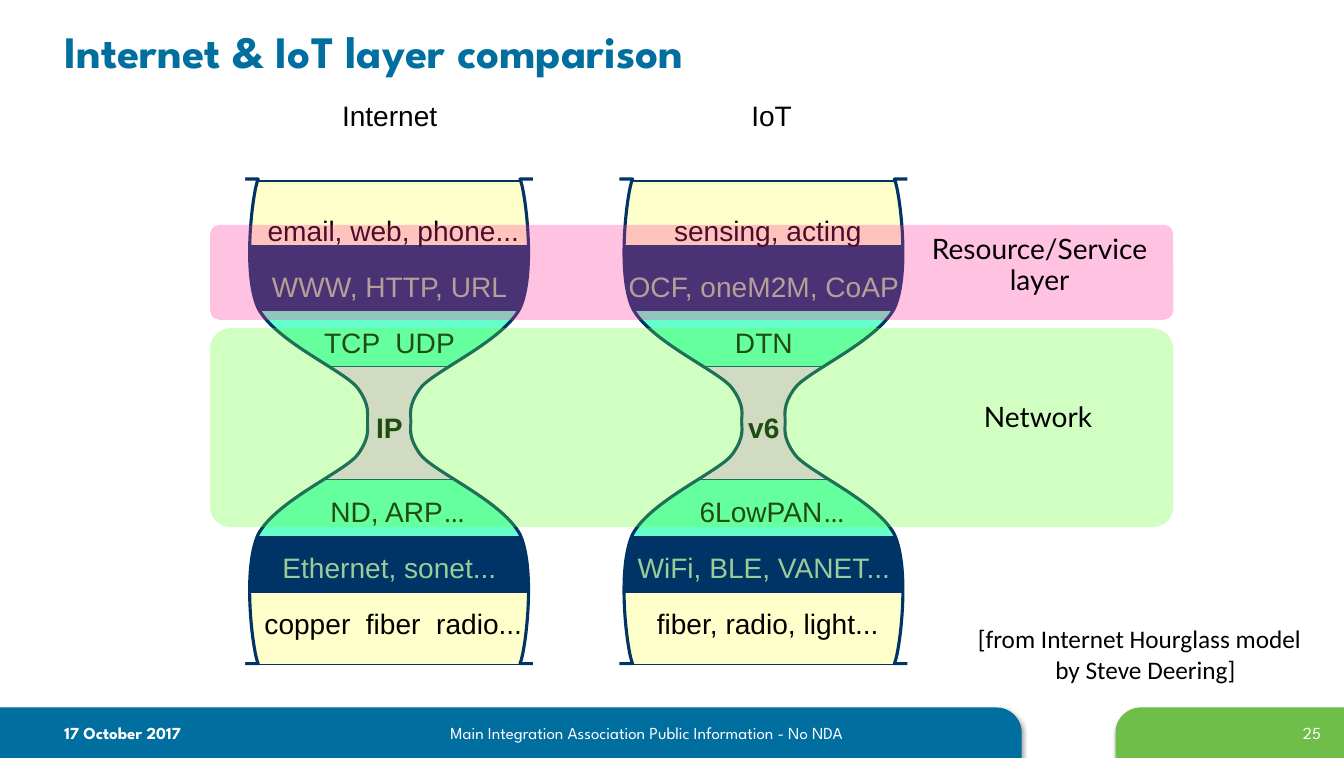
"""Builds a slide comparing the Internet and IoT protocol hourglasses."""
from dataclasses import dataclass

from lxml import etree
from pptx import Presentation
from pptx.dml.color import RGBColor
from pptx.enum.shapes import MSO_SHAPE
from pptx.enum.text import MSO_ANCHOR, MSO_AUTO_SIZE, PP_ALIGN
from pptx.oxml.ns import qn
from pptx.util import Cm, Pt

RECTANGLE = MSO_SHAPE.RECTANGLE
ROUNDED = MSO_SHAPE.ROUNDED_RECTANGLE
ONE_ROUND = MSO_SHAPE.ROUND_1_RECTANGLE
LEFT, CENTER, RIGHT = PP_ALIGN.LEFT, PP_ALIGN.CENTER, PP_ALIGN.RIGHT


@dataclass(frozen=True)
class Theme:
    blue: str = "006E9F"
    leaf: str = "6EBE49"
    navy: str = "003366"
    mint: str = "66FFCC"
    cream: str = "FFFFCC"
    orchid: str = "FFCCFF"
    sage: str = "99CC99"
    lime: str = "66FF33"
    rose: str = "FF3399"
    black: str = "000000"
    white: str = "FFFFFF"
    brand: str = "League Spartan"
    diagram: str = "Arial"
    ellipsis: str = "Cambria"
    label: str = "Lato"
    credit: str = "Calibri"
    title_size: int = 32
    label_size: int = 20
    credit_size: int = 18
    footer_size: int = 12


T = Theme()

TITLE = "Internet & IoT layer comparison"
TITLE_BOX = (1.37, 0.27, 28.6, 2.01)

FOOTER_BARS = [
    ((0, 17.78, 25.68, 1.27), T.blue, False),
    ((28.04, 17.78, 5.74, 1.27), T.leaf, True),
]
FOOTERS = [
    ("17 October 2017", (1.37, 18.03, 6.45, 0.74), LEFT, True),
    ("25", (30.05, 18.03, 3.4, 0.97), RIGHT, False),
    ("Main Integration Association Public Information - No NDA",
     (8.31, 18.03, 15.9, 0.71), CENTER, False),
]

HOURGLASSES = [
    ("IoT", 19.19, 14.1,
     ["sensing, acting", "OCF, oneM2M, CoAP", "DTN", "v6",
      "6LowPAN…", "WiFi, BLE, VANET...", "fiber, radio, light..."]),
    ("Internet", 9.78, 4.5,
     ["email, web, phone...", "WWW, HTTP, URL", "TCP  UDP", "IP",
      "ND, ARP…", "Ethernet, sonet...", "copper  fiber  radio..."]),
]
LAYER_FORMATS = [
    dict(indent=0.2),
    dict(ink=T.sage, before=9.9),
    dict(before=9.9),
    dict(before=30.2, bold=True),
    dict(before=30.2, indent=0.39),
    dict(ink=T.sage, before=9.9),
    dict(before=9.9, indent=0.2),
]
BAND_FILLS = [T.cream, T.navy, T.mint, T.orchid, T.mint, T.navy, T.cream]
BAND_EDGES = [4.55, 6.17, 7.8, 9.22, 12.05, 13.48, 14.88, 16.71]
BAND_WIDTH = 7.42

WAIST = 10.59
RIM = (3.29, 6.09)
WALL_CURVES = [
    ((3.42, 5.82), (3.7, 3.73), (3.29, 2.84)),
    ((2.83, 1.98), (1.05, 1.24), (0.77, 0.81)),
    ((0.47, 0.38), (0.55, 0.18), (0.55, 0)),
]
WALL_CORNERS = [(3.72, 0), (3.72, 6.09)]
MASKS = [(3.72, 4.29, 0.2, 12.57), (2.25, 10.39, 3.33, 0.41)]

NETWORK = ("Network", (22.89, 10.01, 6.4, 1.02),
           (5.28, 8.25, 24.21, 5), T.lime, 30)
SERVICE = ("Resource/Service layer", (22.89, 5.8, 6.48, 2.11),
           (5.28, 5.65, 24.21, 2.39), T.rose, 29)
CREDIT = [("[from Internet Hourglass model", LEFT), ("by Steve Deering]", CENTER)]
CREDIT_BOX = (24.33, 15.55, 8.92, 1.8)


def lengths(box):
    return [Cm(value) for value in box]


def write(paragraph, text, *, font=T.diagram, size=T.label_size, ink=T.black,
          bold=False, align=CENTER, spacing=1.0, before=0, indent=0):
    paragraph.alignment = align
    paragraph.line_spacing = spacing
    paragraph.space_before = Pt(before)
    if indent:
        paragraph._p.get_or_add_pPr().set("marL", str(Cm(indent)))
    words, dots, _ = text.partition("…")
    for part, face in ((words, font), (dots, T.ellipsis)):
        if part:
            run = paragraph.add_run()
            run.text = part
            run.font.name = face
            run.font.size = Pt(size)
            run.font.bold = bold
            run.font.color.rgb = RGBColor.from_string(ink)


def add_frame(shapes, box):
    frame = shapes.add_textbox(*lengths(box)).text_frame
    frame.word_wrap = True
    return frame


def paint(shape, fill, line=None, weight=0.75, opacity=None):
    shape.shadow.inherit = False
    shape.fill.solid()
    shape.fill.fore_color.rgb = RGBColor.from_string(fill)
    if opacity:
        color = shape._element.spPr.find(qn("a:solidFill"))[0]
        etree.SubElement(color, qn("a:alpha"), val=str(opacity * 1000))
    if line:
        shape.line.color.rgb = RGBColor.from_string(line)
        shape.line.width = Pt(weight)
    else:
        shape.line.fill.background()


def add_block(shapes, preset, box, fill, adjust=None, **style):
    block = shapes.add_shape(preset, *lengths(box))
    if adjust is not None:
        block.adjustments[0] = adjust
    paint(block, fill, **style)
    return block


def add_footer_bar(shapes, box, fill, flipped):
    properties = add_block(shapes, ONE_ROUND, box, fill, 0.5)._element.spPr
    if flipped:
        properties.find(qn("a:xfrm")).set("flipH", "1")
    shadow = etree.SubElement(
        properties.find(qn("a:effectLst")), qn("a:outerShdw"), blurRad=str(Pt(3.1)),
        dist=str(Pt(1.8)), dir="5400000", rotWithShape="0")
    color = etree.SubElement(shadow, qn("a:srgbClr"), val=T.black)
    etree.SubElement(color, qn("a:alpha"), val="35000")


def add_wall(shapes, center, side, half):
    outline = [RIM, *(point for curve in WALL_CURVES for point in curve), *WALL_CORNERS]
    points = [(Cm(center + side * x), Cm(WAIST + half * y)) for x, y in outline]
    builder = shapes.build_freeform(*points[0])
    builder.add_line_segments(points[1:], close=True)
    wall = builder.convert_to_shape()
    segments = list(wall._element.spPr.iter(qn("a:lnTo")))
    for index in range(0, 3 * len(WALL_CURVES), 3):
        curve = etree.Element(qn("a:cubicBezTo"))
        segments[index].addprevious(curve)
        for segment in segments[index:index + 3]:
            curve.append(segment[0])
            segment.getparent().remove(segment)
    paint(wall, T.white, line=T.navy, weight=2.25)


def add_hourglass(shapes, center, layers):
    for top, bottom, fill in zip(BAND_EDGES, BAND_EDGES[1:], BAND_FILLS):
        add_block(shapes, RECTANGLE, (center - BAND_WIDTH / 2, top, BAND_WIDTH, bottom - top),
                  fill, line=T.navy)
    frame = add_frame(shapes, (center - 3.9, 5.03, 7.82, 11.81))
    for index, (layer, style) in enumerate(zip(layers, LAYER_FORMATS)):
        paragraph = frame.add_paragraph() if index else frame.paragraphs[0]
        write(paragraph, layer, spacing=1.25, **style)
    for side in (-1, 1):
        for half in (-1, 1):
            add_wall(shapes, center, side, half)
    for offset, top, width, height in MASKS:
        for side in (-1, 1):
            add_block(shapes, RECTANGLE,
                      (center + side * offset - width / 2, top, width, height), T.white)


def main():
    deck = Presentation()
    deck.slide_width, deck.slide_height = Cm(33.78), Cm(19.05)
    slide = deck.slides.add_slide(deck.slide_layouts[5])
    shapes = slide.shapes

    title = shapes.title
    title.left, title.top, title.width, title.height = lengths(TITLE_BOX)
    title.text_frame.auto_size = MSO_AUTO_SIZE.NONE
    title.text_frame.vertical_anchor = MSO_ANCHOR.MIDDLE
    write(title.text_frame.paragraphs[0], TITLE, font=T.brand, size=T.title_size,
          ink=T.blue, bold=True, align=LEFT)

    for bar in FOOTER_BARS:
        add_footer_bar(shapes, *bar)
    for text, box, align, bold in FOOTERS:
        write(add_frame(shapes, box).paragraphs[0], text, font=T.brand,
              size=T.footer_size, ink=T.white, bold=bold, align=align)

    for heading, center, heading_left, layers in HOURGLASSES:
        add_hourglass(shapes.add_group_shape().shapes, center, layers)
        write(add_frame(shapes, (heading_left, 2.44, 10.59, 1.02)).paragraphs[0],
              heading, spacing=0.9)

    for label, label_box, zone_box, fill, opacity in (NETWORK, SERVICE):
        add_block(shapes, ROUNDED, zone_box, fill, 0.103, opacity=opacity)
        write(add_frame(shapes, label_box).paragraphs[0], label, font=T.label, spacing=0.9)

    credit = add_frame(shapes, CREDIT_BOX)
    for index, (line, align) in enumerate(CREDIT):
        paragraph = credit.add_paragraph() if index else credit.paragraphs[0]
        write(paragraph, line, font=T.credit, size=T.credit_size, align=align)

    deck.save("out.pptx")


if __name__ == "__main__":
    main()
